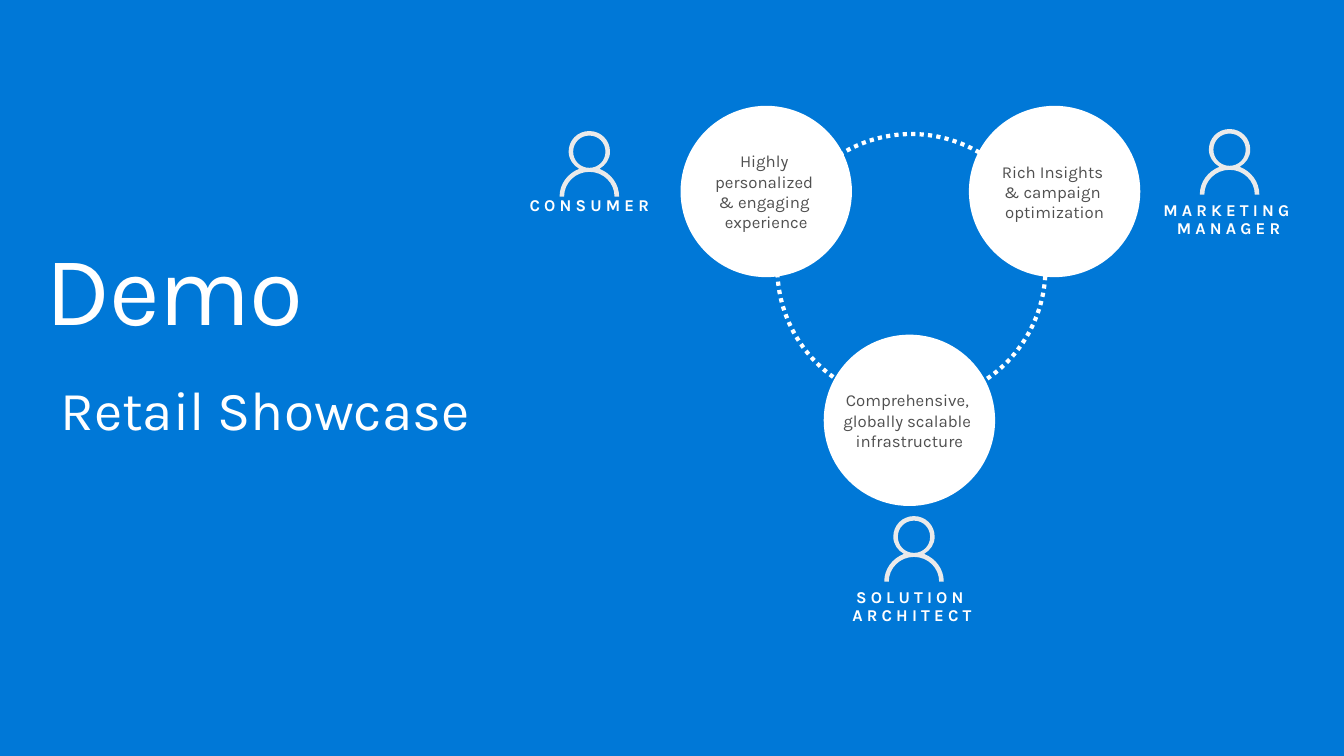
from lxml import etree
from pptx import Presentation
from pptx import util as u
from pptx.dml.color import RGBColor
from pptx.enum import dml, shapes, text
from pptx.oxml.ns import qn

Inches, Pt = u.Inches, u.Pt


class Theme:
    font = "Karla"
    blue = RGBColor(0x00, 0x78, 0xD7)
    white = RGBColor(0xFF, 0xFF, 0xFF)
    grey = RGBColor(0x50, 0x50, 0x50)
    pale = RGBColor(0xEA, 0xEA, 0xEA)
    title, sub, role, note = 70.5, 39.2, 11.8, 12


def place(shape, box):
    shape.left, shape.top, shape.width, shape.height = map(Inches, box)


def write(shape, words, size, color, pad=(0, 0), align=text.PP_ALIGN.LEFT,
          anchor=text.MSO_ANCHOR.TOP, wrap=True, bold=False, gap=0):
    """Fill a shape with one styled paragraph and return it."""
    frame = shape.text_frame
    frame.word_wrap = wrap
    frame.vertical_anchor = anchor
    frame.margin_left = frame.margin_right = Inches(pad[0])
    frame.margin_top = frame.margin_bottom = Inches(pad[1])
    para = frame.paragraphs[0]
    para.text = words
    para.alignment = align
    para.space_before = Pt(0)
    for run in para.runs:
        font = run.font
        font.name, font.size, font.bold = Theme.font, Pt(size), bold
        font.color.rgb = color
        if gap:
            run._r.get_or_add_rPr().set("spc", str(gap * 100))
    return para


# Title and subtitle
def heading(slide, box):
    left, top, width, _ = box
    title, body = slide.shapes.title, slide.placeholders[1]
    place(title, (left, top, width, 1.27))
    place(body, (left + 0.15, top + 1.42, width + 0.15, 0.8))
    para = write(title, "Demo", Theme.title, Theme.white, (0.16, 0.1), gap=-1)
    para.line_spacing = 0.9
    para = write(body, "Retail Showcase", Theme.sub, Theme.white, (0.16, 0.1))
    props = para._p.get_or_add_pPr()
    props.set("marL", "0")
    props.set("indent", "0")
    etree.SubElement(props, qn("a:buNone"))
    para.line_spacing = 0.9
    for shape in (title, body):
        shape.text_frame.auto_size = text.MSO_AUTO_SIZE.NONE


# Dotted ring with three white discs
def oval(slide, box):
    shape = slide.shapes.add_shape(shapes.MSO_SHAPE.OVAL, *map(Inches, box))
    shape.shadow.inherit = False
    return shape


def cycle(slide, box):
    left, top, _, _ = box
    disc, ring = 1.7, 2.66
    loop = oval(slide, (left + 0.96, top + 0.28, ring, ring))
    loop.fill.background()
    loop.line.color.rgb = Theme.white
    loop.line.width = Pt(3)
    loop.line.dash_style = dml.MSO_LINE.ROUND_DOT
    notes = [
        (1.42, 2.27, "Comprehensive, \vglobally scalable \vinfrastructure"),
        (2.86, 0, "Rich Insights \v& campaign \voptimization"),
        (0, 0, "Highly \vpersonalized \v& engaging \vexperience"),
    ]
    for x, y, words in notes:
        dot = oval(slide, (left + x, top + y, disc, disc))
        dot.fill.solid()
        dot.fill.fore_color.rgb = Theme.white
        dot.line.fill.background()
        write(dot, words, Theme.note, Theme.grey, align=text.PP_ALIGN.CENTER,
              anchor=text.MSO_ANCHOR.MIDDLE, wrap=False)


# Person icon: each curve is two handles and an end, in 1/200 inch
FOOT, TOE = (9, 130), (118, 130)
EDGE = [
    (79, 75),
    (91, 68), (100, 56), (100, 41), (100, 18), (82, 0), (59, 0),
    (36, 0), (18, 18), (18, 41), (18, 56), (27, 68), (39, 75),
    (16, 84), (0, 105), (0, 130), FOOT, FOOT, FOOT,
    (9, 103), (31, 81), (59, 81), (87, 81), (109, 103), (109, 130),
    TOE, TOE, TOE, (118, 105), (102, 84), (79, 75),
]
HOLE = [
    (27, 41),
    (27, 23), (41, 9), (59, 9), (77, 9), (91, 23), (91, 41),
    (91, 59), (77, 73), (59, 73), (41, 73), (27, 59), (27, 41),
]


def bend(shape):
    """Turn every three line points of an outline into one curve."""
    lines = list(shape._element.iter(qn("a:lnTo")))
    for i in range(0, len(lines), 3):
        curve = etree.Element(qn("a:cubicBezTo"))
        lines[i].addprevious(curve)
        for line in lines[i:i + 3]:
            curve.append(line[0])
            line.getparent().remove(line)


def person(slide, left, top):
    pen = slide.shapes.build_freeform(*EDGE[0], scale=Inches(0.005))
    pen.add_line_segments(EDGE[1:])
    pen.move_to(*HOLE[0])
    pen.add_line_segments(HOLE[1:])
    icon = pen.convert_to_shape(Inches(left), Inches(top))
    bend(icon)
    icon.shadow.inherit = False
    icon.fill.solid()
    icon.fill.fore_color.rgb = Theme.pale
    icon.line.fill.background()


# Icon with its role below
def role(slide, box, words, icon):
    person(slide, *icon)
    label = slide.shapes.add_textbox(*map(Inches, box))
    para = write(label, words, Theme.role, Theme.white, (0.2, 0.16),
                 text.PP_ALIGN.CENTER, bold=True, gap=3)
    para.line_spacing = 0.9
    para.space_after = Pt(5.9)


def main():
    deck = Presentation()
    deck.slide_width, deck.slide_height = Inches(13.33), Inches(7.5)
    slide = deck.slides.add_slide(deck.slide_layouts[1])
    slide.background.fill.solid()
    slide.background.fill.fore_color.rgb = Theme.blue
    heading(slide, (0.29, 2.28, 12.74, 2.22))
    cycle(slide, (6.75, 1.05, 4.56, 3.97))
    role(slide, (4.94, 1.87, 1.81, 0.5), "CONSUMER", (5.55, 1.3))
    role(slide, (11.33, 1.85, 1.71, 0.68), "MARKETING MANAGER", (11.9, 1.28))
    role(slide, (8.19, 5.69, 1.71, 0.68), "SOLUTION ARCHITECT", (8.77, 5.12))
    deck.save("out.pptx")


if __name__ == "__main__":
    main()
